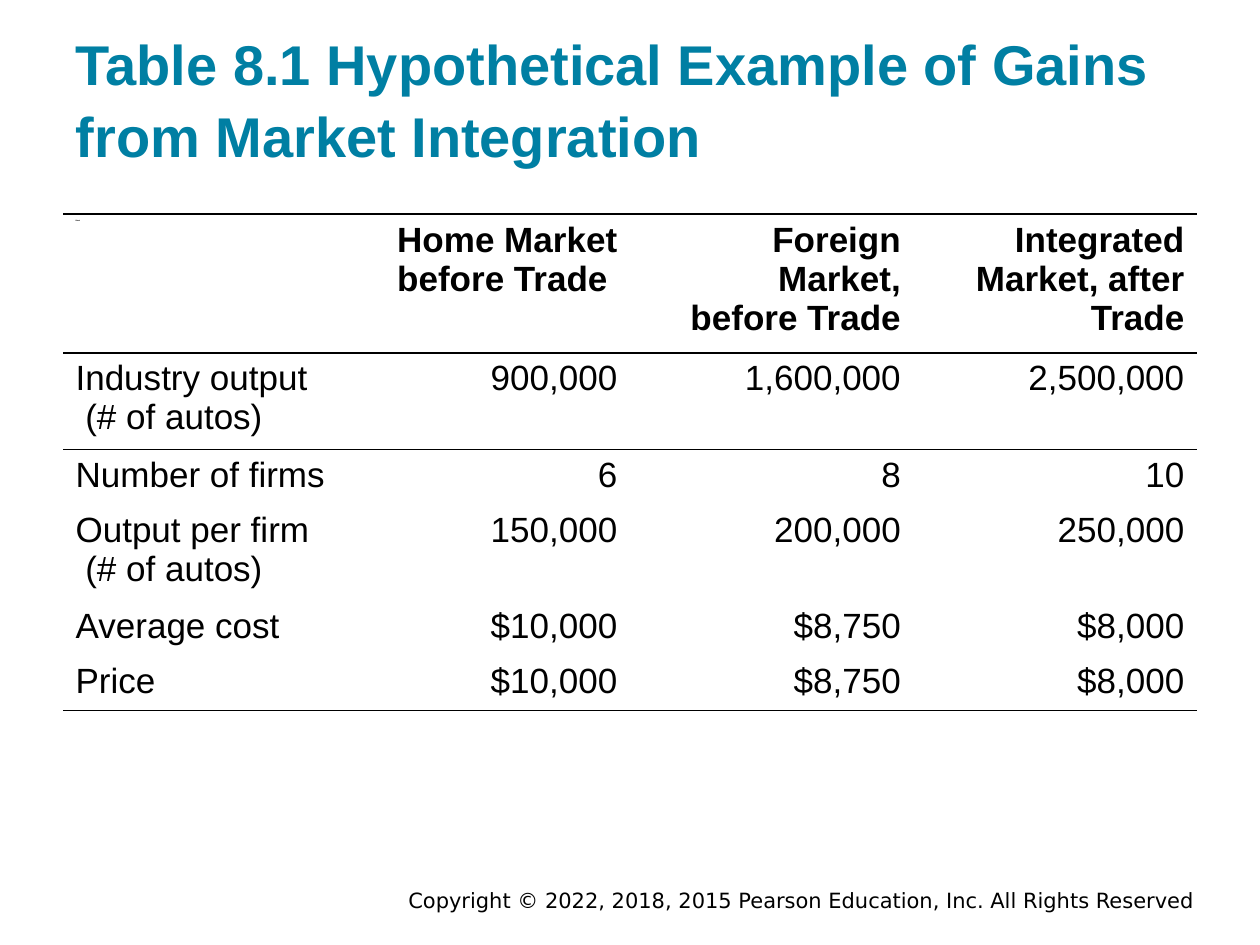
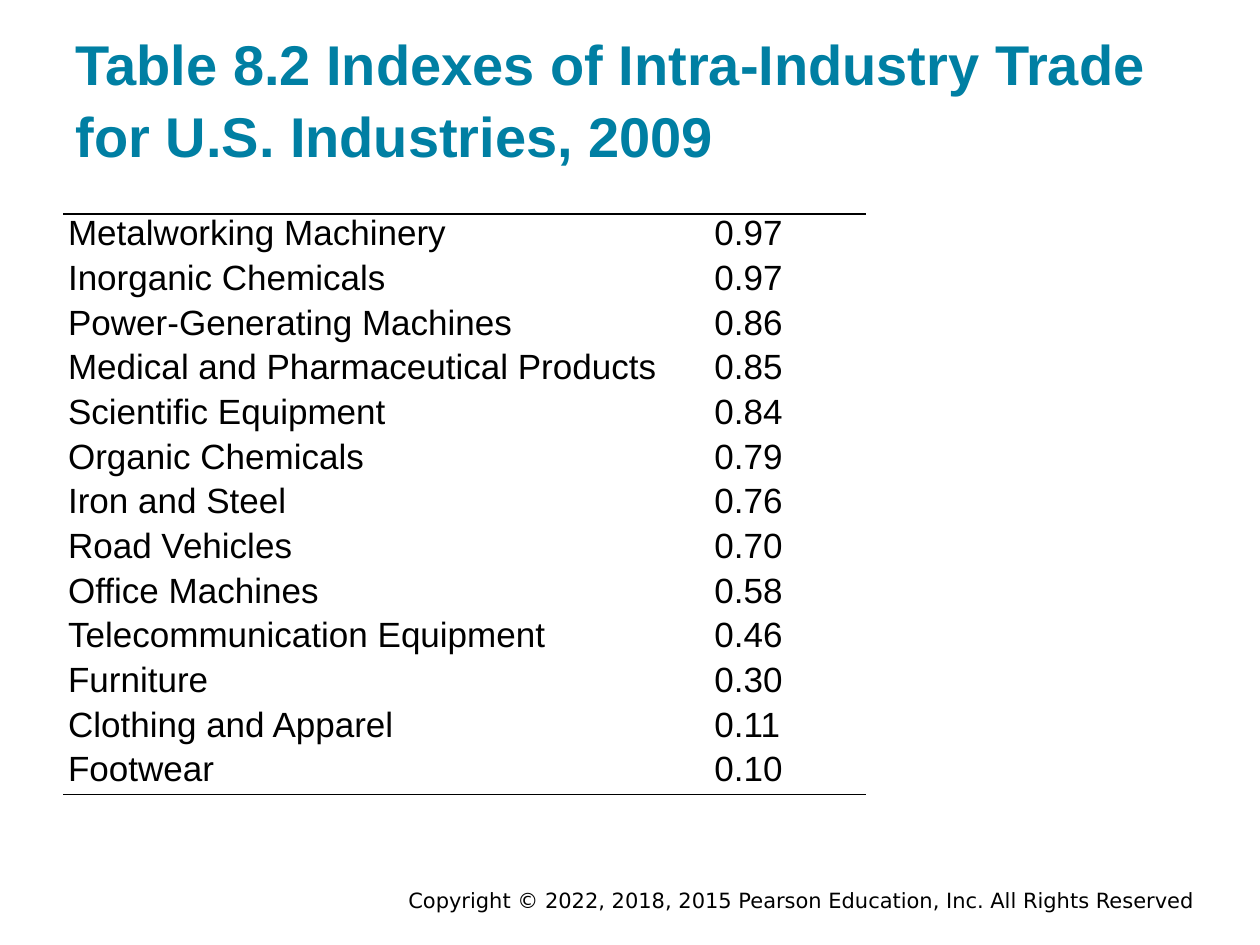
from dataclasses import dataclass

from lxml.etree import SubElement
from pptx import Presentation
from pptx.dml.color import RGBColor
from pptx.enum.text import MSO_ANCHOR, MSO_AUTO_SIZE, PP_ALIGN
from pptx.oxml.ns import qn
from pptx.util import Pt


@dataclass(frozen=True)
class Theme:
    heading: RGBColor = RGBColor(0x00, 0x7F, 0xA3)
    ink: RGBColor = RGBColor(0x00, 0x00, 0x00)
    paper: RGBColor = RGBColor(0xFF, 0xFF, 0xFF)
    face: str = "Arial"
    footer_face: str = "DejaVu Sans"
    title_size: int = 32
    table_size: int = 20
    footer_size: int = 12
    hidden_label_size: int = 1
    rule_width: int = 1


THEME = Theme()
PLAIN_TABLE_STYLE = "{2D5ABB26-0587-4C30-8999-92F81FD0307C}"
TABLE_LEFT, TABLE_TOP = 36, 122.4
COPYRIGHT = "Copyright © 2022, 2018, 2015 Pearson Education, Inc. All Rights Reserved"

MARKET_GAINS = [
    ("Blank", "Home Market\nbefore Trade ", "Foreign Market,\nbefore Trade",
     "Integrated Market, after Trade"),
    ("Industry output\n (# of autos)", "900,000", "1,600,000", "2,500,000"),
    ("Number of firms", "6", "8", "10"),
    ("Output per firm\n (# of autos)", "150,000", "200,000", "250,000"),
    ("Average cost", "$10,000", "$8,750", "$8,000"),
    ("Price", "$10,000", "$8,750", "$8,000"),
]

TRADE_INDEXES = [
    ("Metalworking Machinery", "0.97"),
    ("Inorganic Chemicals", "0.97"),
    ("Power-Generating Machines", "0.86"),
    ("Medical and Pharmaceutical Products", "0.85"),
    ("Scientific Equipment", "0.84"),
    ("Organic Chemicals", "0.79"),
    ("Iron and Steel", "0.76"),
    ("Road Vehicles", "0.70"),
    ("Office Machines", "0.58"),
    ("Telecommunication Equipment", "0.46"),
    ("Furniture", "0.30"),
    ("Clothing and Apparel", "0.11"),
    ("Footwear", "0.10"),
]


def format_text(frame, size, color=THEME.ink, face=THEME.face, bold=False,
                align=PP_ALIGN.LEFT):
    for paragraph in frame.paragraphs:
        paragraph.alignment = align
        for run in paragraph.runs:
            run.font.size = Pt(size)
            run.font.name = face
            run.font.bold = bold
            run.font.color.rgb = color


def place_title(slide, wording):
    title = slide.shapes.title
    title.left, title.top, title.width, title.height = map(Pt, (36, 17.3, 648, 86.4))
    frame = title.text_frame
    frame.text = wording
    frame.auto_size = MSO_AUTO_SIZE.NONE
    frame.word_wrap = True
    frame.vertical_anchor = MSO_ANCHOR.BOTTOM
    frame.margin_left = frame.margin_right = Pt(7.2)
    frame.margin_top = frame.margin_bottom = Pt(7.2)
    frame.paragraphs[0].line_spacing = 1.08
    format_text(frame, THEME.title_size, THEME.heading, bold=True)


def add_copyright(slide):
    footer = slide.shapes.add_textbox(*map(Pt, (126, 506.2, 563.8, 15.8)))
    frame = footer.text_frame
    frame.text = COPYRIGHT
    frame.word_wrap = True
    frame.vertical_anchor = MSO_ANCHOR.MIDDLE
    format_text(frame, THEME.footer_size, face=THEME.footer_face,
                align=PP_ALIGN.RIGHT)


def add_titled_slide(deck, wording):
    slide = deck.slides.add_slide(deck.slide_layouts[5])
    add_copyright(slide)
    place_title(slide, wording)
    return slide


def rule_cell(cell, edges):
    """Draw rules on the given edges ("T", "B"), listed top first."""
    properties = cell._tc.get_or_add_tcPr()
    for position, edge in enumerate(edges):
        line = SubElement(properties, qn(f"a:ln{edge}"), w=str(Pt(THEME.rule_width)))
        fill = SubElement(line, qn("a:solidFill"))
        SubElement(fill, qn("a:srgbClr"), val=str(THEME.ink))
        properties.insert(position, line)


def ruled_edges(row, last_row, has_header):
    edges = ""
    if row == 0 or (has_header and row == 1):
        edges += "T"
    if row == last_row or (has_header and row == 0):
        edges += "B"
    return edges


def add_ruled_table(slide, rows, column_widths, row_height, has_header=False,
                    value_align=PP_ALIGN.LEFT, margins=(7.2, 3.6, 7.2, 3.6)):
    """Add a white table ruled above, below and under its header, if any."""
    frame = slide.shapes.add_table(
        len(rows), len(column_widths), Pt(TABLE_LEFT), Pt(TABLE_TOP),
        Pt(sum(column_widths)), Pt(row_height * len(rows)))
    table = frame.table
    table.first_row = has_header
    table.horz_banding = False
    table._tbl.tblPr.find(qn("a:tableStyleId")).text = PLAIN_TABLE_STYLE
    for column, width in zip(table.columns, column_widths):
        column.width = Pt(width)
    for r, entries in enumerate(rows):
        table.rows[r].height = Pt(row_height)
        for c, entry in enumerate(entries):
            cell = table.cell(r, c)
            cell.text_frame.text = entry
            (cell.margin_left, cell.margin_top,
             cell.margin_right, cell.margin_bottom) = map(Pt, margins)
            cell.fill.solid()
            cell.fill.fore_color.rgb = THEME.paper
            rule_cell(cell, ruled_edges(r, len(rows) - 1, has_header))
            format_text(cell.text_frame, THEME.table_size,
                        bold=has_header and r == 0,
                        align=value_align if c else PP_ALIGN.LEFT)
    return table


def main():
    deck = Presentation()
    deck.slide_width, deck.slide_height = Pt(720), Pt(540)

    gains = add_titled_slide(
        deck, "Table 8.1 Hypothetical Example of Gains from Market Integration")
    gains_table = add_ruled_table(gains, MARKET_GAINS, [162] * 4, 29.5,
                                  has_header=True, value_align=PP_ALIGN.RIGHT)
    format_text(gains_table.cell(0, 0).text_frame, THEME.hidden_label_size, bold=True)

    indexes = add_titled_slide(
        deck, "Table 8.2 Indexes of Intra-Industry Trade for U.S. Industries, 2009")
    add_ruled_table(indexes, TRADE_INDEXES, [369.4, 89.3], 25.54,
                    margins=(2.9, 0, 0, 0))

    deck.save("out.pptx")


if __name__ == "__main__":
    main()
